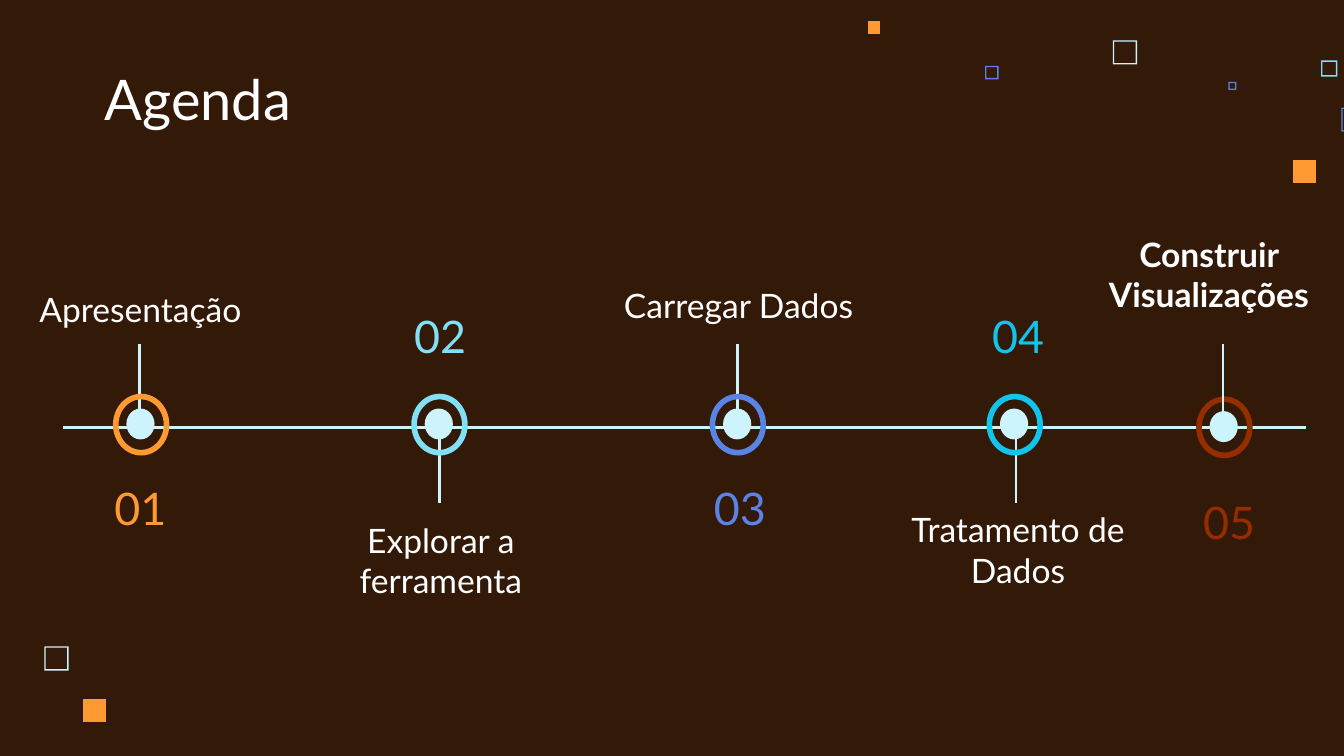
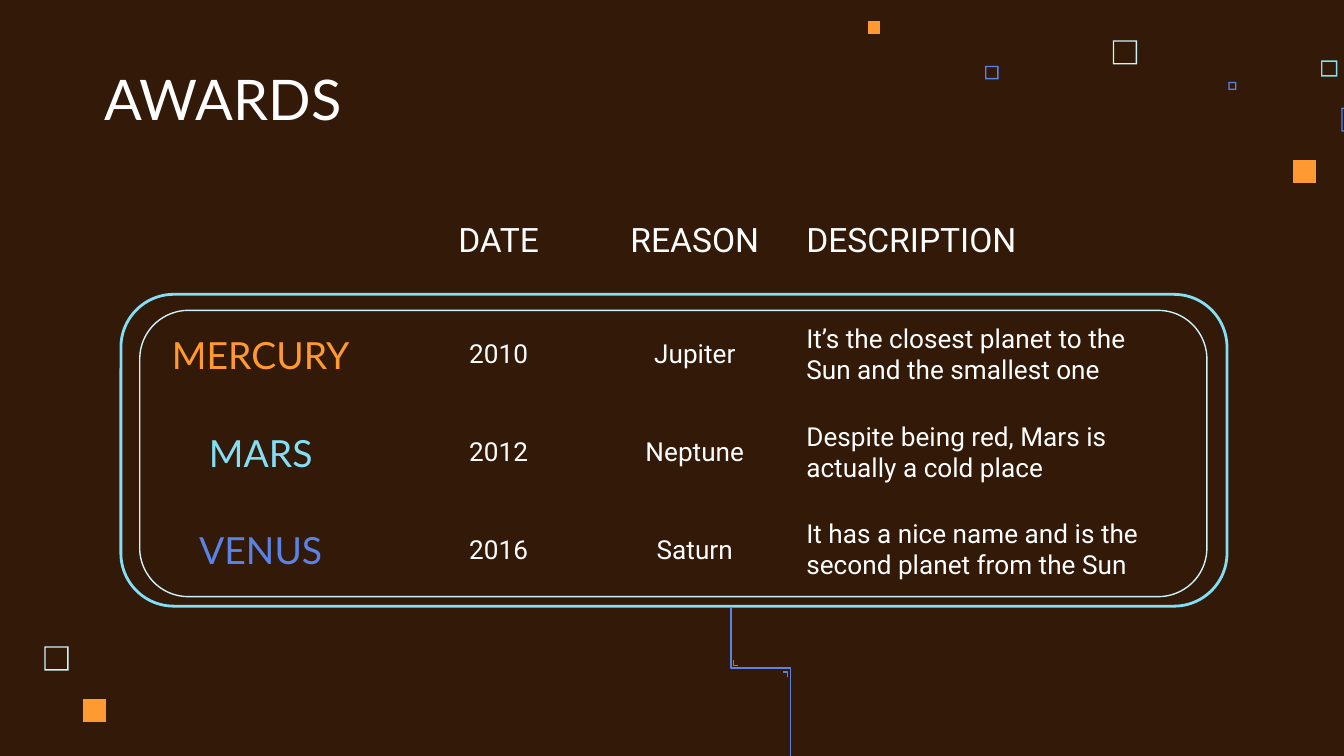
"""Build the agenda timeline and the awards table slides."""
from lxml.etree import SubElement
from pptx import Presentation
from pptx.dml.color import RGBColor
from pptx.enum.shapes import MSO_CONNECTOR as Connector, MSO_SHAPE as Shape
from pptx.enum.text import MSO_ANCHOR as Anchor, PP_ALIGN as Align
from pptx.oxml.ns import qn
from pptx.util import Inches, Pt

COLOURS = {
    "night": "331907",
    "white": "FFFFFF",
    "ice": "CDF4FD",
    "sky": "83DFF5",
    "blue": "5983E4",
    "cyan": "10C4EB",
    "orange": "FF9A32",
    "rust": "942D00",
}
HOLLOW_SQUARES = [
    (8.28, 0.3, 0.18, "ice"),
    (9.83, 0.45, 0.12, "sky"),
    (9.14, 0.61, 0.06, "blue"),
    (9.98, 0.8, 0.18, "blue"),
    (7.33, 0.49, 0.1, "blue"),
    (0.33, 4.81, 0.18, "ice"),
]
SOLID_SQUARES = [(9.62, 1.19, 0.17), (6.46, 0.16, 0.09), (0.62, 5.2, 0.17)]
NO_GRID_STYLE = "{2D5ABB26-0587-4C30-8999-92F81FD0307C}"


def rgb(name):
    return RGBColor.from_string(COLOURS[name])


def square(left, top, size):
    right, bottom = left + size, top + size
    return [(left, top), (left, bottom), (right, bottom), (right, top)]


def write(frame, text, size=18, font="Lato", colour="white", bold=False, align=Align.LEFT):
    para = frame.paragraphs[0]
    para.alignment = align
    span = para.add_run()
    span.text = text
    span.font.size = Pt(size)
    span.font.name = font
    span.font.bold = bold
    span.font.color.rgb = rgb(colour)


def set_margins(holder):
    holder.margin_left = holder.margin_right = Inches(0.1)
    holder.margin_top = holder.margin_bottom = Inches(0.1)


class Painter:
    def __init__(self, deck):
        self.deck = deck
        self.page = None

    def new_page(self, title):
        self.page = self.deck.slides.add_slide(self.deck.slide_layouts[6])
        fill = self.page.background.fill
        fill.solid()
        fill.fore_color.rgb = rgb("night")
        for left, top, size, colour in HOLLOW_SQUARES:
            inner = square(left + 0.01, top + 0.01, size - 0.02)
            self.outline([square(left, top, size), inner[::-1]], fill=colour)
        for place in SOLID_SQUARES:
            self.outline([square(*place)], fill="orange")
        self.text(title, 0.68, 0.45, 5.17, 0.63, anchor=Anchor.BOTTOM, size=30)

    def paint(self, shape, fill=None, line=None, weight=0.75):
        shape.shadow.inherit = False
        if fill:
            shape.fill.solid()
            shape.fill.fore_color.rgb = rgb(fill)
        else:
            shape.fill.background()
        if line:
            shape.line.color.rgb = rgb(line)
            shape.line.width = Pt(weight)
        else:
            shape.line.fill.background()

    def outline(self, contours, closed=True, **style):
        paths = [[(Inches(x), Inches(y)) for x, y in points] for points in contours]
        builder = self.page.shapes.build_freeform(*paths[0][0])
        builder.add_line_segments(paths[0][1:], close=closed)
        for points in paths[1:]:
            builder.move_to(*points[0])
            builder.add_line_segments(points[1:], close=closed)
        self.paint(builder.convert_to_shape(), **style)

    def shape(self, kind, left, top, width, height, adjust=None, **style):
        shape = self.page.shapes.add_shape(
            kind, Inches(left), Inches(top), Inches(width), Inches(height))
        if adjust is not None:
            shape.adjustments[0] = adjust
        self.paint(shape, **style)

    def line(self, x1, y1, x2, y2, colour="ice", weight=1.5):
        line = self.page.shapes.add_connector(
            Connector.STRAIGHT, Inches(x1), Inches(y1), Inches(x2), Inches(y2))
        line.line.color.rgb = rgb(colour)
        line.line.width = Pt(weight)
        SubElement(line.element.spPr, qn("a:effectLst"))

    def text(self, text, left, top, width, height, anchor=Anchor.TOP, **style):
        box = self.page.shapes.add_textbox(
            Inches(left), Inches(top), Inches(width), Inches(height))
        frame = box.text_frame
        frame.word_wrap = True
        frame.vertical_anchor = anchor
        set_margins(frame)
        write(frame, text, **style)

    def table(self, left, top, widths, height, row_count):
        holder = self.page.shapes.add_table(
            row_count, len(widths), Inches(left), Inches(top),
            Inches(sum(widths)), Inches(height))
        for style in holder.element.iter(qn("a:tableStyleId")):
            style.text = NO_GRID_STYLE
        table = holder.table
        table.first_row = table.horz_banding = False
        for column, width in zip(table.columns, widths):
            column.width = Inches(width)
        for cell in table.iter_cells():
            cell.fill.background()
            set_margins(cell)
        return table


def build_agenda(painter):
    painter.new_page("Agenda")
    painter.line(0.47, 3.18, 9.72, 3.18)
    milestones = [
        ("Apresentação", "orange", 1.04, (0.94, 3.04), (0, 2.03, 2.09, 0.52), (0.33, 3.52)),
        ("Explorar a ferramenta", "sky", 3.27, (3.16, 3.04), (2.17, 3.77, 2.22, 0.53), (2.56, 2.24)),
        ("Carregar Dados", "blue", 5.49, (5.38, 3.04), (4.45, 2, 2.09, 0.52), (4.79, 3.52)),
        ("Tratamento de Dados", "cyan", 7.56, (7.44, 3.04), (6.53, 3.69, 2.09, 0.77), (6.86, 2.24)),
        ("Construir Visualizações", "rust", 9.1, (9, 3.06), (7.95, 1.92, 2.09, 0.52), (8.43, 3.62)),
    ]
    for number, (label, colour, stem, dot, label_place, number_place) in enumerate(milestones, 1):
        above = number % 2 == 1
        current = number == len(milestones)
        stem_ends = (stem, 2.56, stem, 3.11) if above else (stem, 3.18, stem, 3.74)
        if not current:
            painter.line(*stem_ends)
        painter.shape(Shape.OVAL, *dot, 0.21, 0.23, fill="ice")
        painter.shape(Shape.DONUT, dot[0] - 0.1, dot[1] - 0.11, 0.42, 0.46, adjust=0.1, fill=colour)
        if current:
            painter.line(*stem_ends)
        painter.text(label, *label_place, anchor=Anchor.BOTTOM if above else Anchor.TOP,
                     bold=current, align=Align.CENTER)
        painter.text(f"{number:02}", *number_place, 1.43, 0.52, anchor=Anchor.MIDDLE,
                     size=24, colour=colour, align=Align.CENTER)


def build_awards(painter):
    painter.new_page("AWARDS")
    painter.shape(Shape.ROUNDED_RECTANGLE, 0.9, 2.19, 8.23, 2.32, adjust=0.17, line="sky", weight=1.5)
    painter.shape(Shape.ROUNDED_RECTANGLE, 1.04, 2.31, 7.94, 2.13, adjust=0.17, line="ice")
    rows = [
        ("", "DATE", "REASON", "DESCRIPTION"),
        ("MERCURY", "2010", "Jupiter", "It’s the closest planet to the Sun and the smallest one"),
        ("MARS", "2012", "Neptune", "Despite being red, Mars is actually a cold place"),
        ("VENUS", "2016", "Saturn", "It has a nice name and is the second planet from the Sun"),
    ]
    planet_colours = ["white", "orange", "sky", "blue"]
    table = painter.table(0.9, 1.55, [2.08] + [1.46] * 4, 2.91, len(rows))
    for r, (row, colour) in enumerate(zip(rows, planet_colours)):
        table.cell(r, 3).merge(table.cell(r, 4))
        for c, text in enumerate(row):
            cell = table.cell(r, c)
            cell.vertical_anchor = Anchor.MIDDLE if r else Anchor.TOP
            if not text:
                continue
            if c == 0:
                style = {"size": 20, "colour": colour}
            else:
                style = {"size": 14 if r else 18, "font": "Roboto"}
            write(cell.text_frame, text, align=Align.LEFT if c == 3 else Align.CENTER, **style)
    painter.outline([[(5.44, 4.52), (5.44, 4.97), (5.88, 4.97), (5.88, 5.93)]],
                    closed=False, line="blue")
    corners = [
        [(5.83, 5), (5.86, 5), (5.86, 5.04)],
        [(5.46, 4.91), (5.46, 4.95), (5.49, 4.95)],
    ]
    for corner in corners:
        painter.outline([corner], closed=False, line="blue")


def main():
    deck = Presentation()
    deck.slide_width = Inches(10)
    deck.slide_height = deck.slide_width * 9 // 16
    painter = Painter(deck)
    build_agenda(painter)
    build_awards(painter)
    deck.save("out.pptx")


if __name__ == "__main__":
    main()
